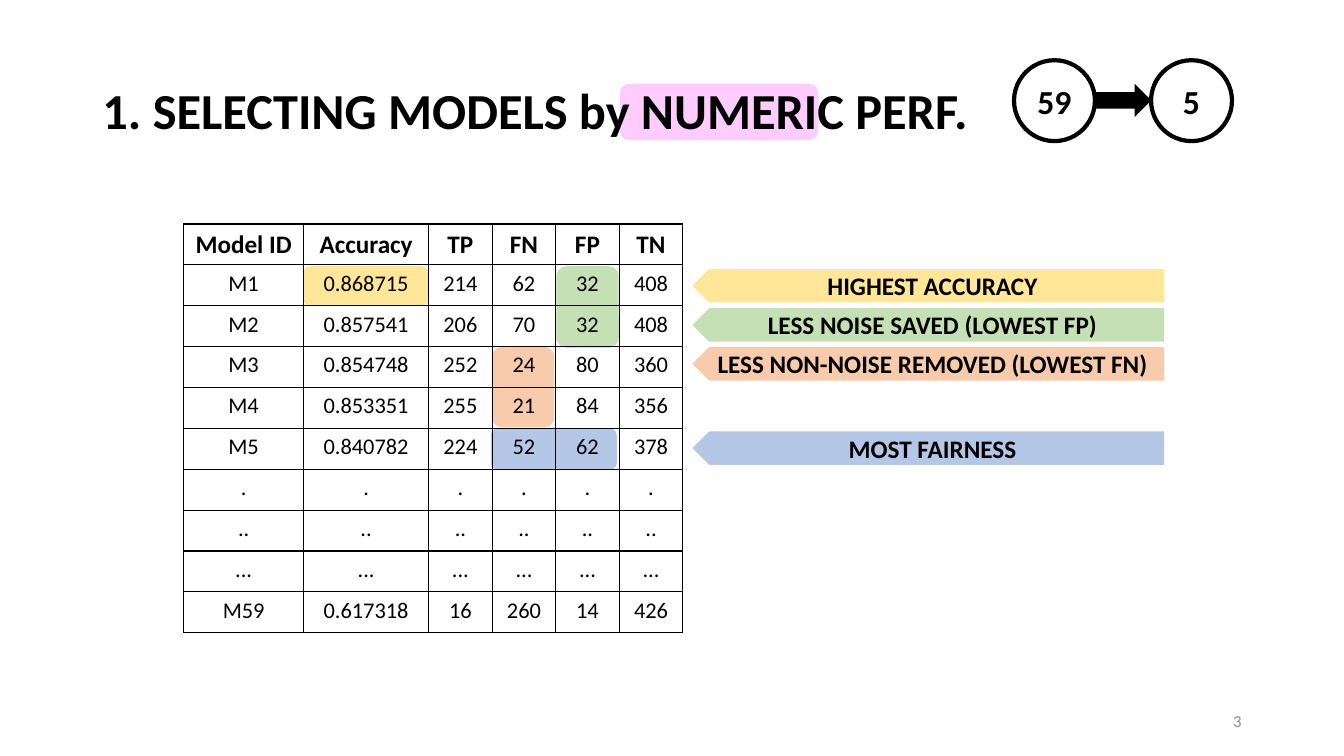
"""Build the slide on selecting models by numeric performance."""
from dataclasses import dataclass

from lxml import etree
from pptx import Presentation
from pptx.dml.color import RGBColor
from pptx.enum.shapes import MSO_SHAPE
from pptx.enum.text import MSO_ANCHOR, MSO_AUTO_SIZE, PP_ALIGN
from pptx.oxml.ns import qn
from pptx.shapes.autoshape import Shape
from pptx.slide import Slide
from pptx.table import _Cell
from pptx.text.text import TextFrame
from pptx.util import Pt

ROUNDED = MSO_SHAPE.ROUNDED_RECTANGLE
PENTAGON = MSO_SHAPE.PENTAGON
OVAL = MSO_SHAPE.OVAL
RIGHT_ARROW = MSO_SHAPE.RIGHT_ARROW
LEFT, CENTER, RIGHT = PP_ALIGN.LEFT, PP_ALIGN.CENTER, PP_ALIGN.RIGHT
MIDDLE = MSO_ANCHOR.MIDDLE
NO_AUTOFIT = MSO_AUTO_SIZE.NONE

FONT = "Calibri"
BLACK = RGBColor(0x00, 0x00, 0x00)
GRAY = RGBColor(0x8C, 0x8C, 0x8C)
PINK = RGBColor(0xFF, 0xCC, 0xFF)
BLUE = RGBColor(0xB4, 0xC7, 0xE7)
ORANGE = RGBColor(0xF8, 0xCB, 0xAD)
GREEN = RGBColor(0xC5, 0xE0, 0xB4)
YELLOW = RGBColor(0xFF, 0xE6, 0x99)

TABLE_LEFT, TABLE_TOP = 131.2, 160
COLUMN_WIDTHS = (85.7, 89.3, 45.4, 45.4, 45.4, 45.4)
ROW_HEIGHT = 29.2
ROWS = (
    ("Model ID", "Accuracy", "TP", "FN", "FP", "TN"),
    ("M1", "0.868715", "214", "62", "32", "408"),
    ("M2", "0.857541", "206", "70", "32", "408"),
    ("M3", "0.854748", "252", "24", "80", "360"),
    ("M4", "0.853351", "255", "21", "84", "356"),
    ("M5", "0.840782", "224", "52", "62", "378"),
    *((dots,) * 6 for dots in (".", "..", "...")),
    ("M59", "0.617318", "16", "260", "14", "426"),
)


@dataclass(frozen=True)
class Box:
    left: float
    top: float
    width: float
    height: float


@dataclass(frozen=True)
class Highlight:
    box: Box
    color: RGBColor


@dataclass(frozen=True)
class Tag:
    text: str
    top: float
    color: RGBColor


@dataclass(frozen=True)
class Count:
    text: str
    left: float


HIGHLIGHTS = (
    Highlight(Box(442.8, 59.8, 141.8, 40.3), PINK),
    Highlight(Box(350.6, 306, 90, 29.5), BLUE),
    Highlight(Box(351.4, 247.7, 44.6, 57.6), ORANGE),
    Highlight(Box(397.4, 190.1, 44.6, 58.3), GREEN),
    Highlight(Box(216.7, 190.1, 89.3, 28.1), YELLOW),
)
TAGS = (
    Tag("HIGHEST ACCURACY", 192.2, YELLOW),
    Tag("LESS NOISE SAVED (LOWEST FP)", 220.2, GREEN),
    Tag("LESS NON-NOISE REMOVED (LOWEST FN)", 248, ORANGE),
    Tag("MOST FAIRNESS", 308.2, BLUE),
)
COUNTS = (Count("59", 724.3), Count("5", 822.2))
COUNT_TOP, COUNT_SIZE = 43, 57.8


def write(frame: TextFrame, text: str, size: float, bold: bool = True,
          align: PP_ALIGN = CENTER, color: RGBColor = BLACK) -> None:
    """Put one formatted paragraph into a text frame."""
    frame.text = text
    paragraph = frame.paragraphs[0]
    paragraph.alignment = align
    font = paragraph.runs[0].font
    font.name, font.size, font.bold = FONT, Pt(size), bold
    font.color.rgb = color


def add_box(slide: Slide, preset: MSO_SHAPE, box: Box, fill: RGBColor | None) -> Shape:
    """Add a preset shape without shadow or outline."""
    shape = slide.shapes.add_shape(
        preset, Pt(box.left), Pt(box.top), Pt(box.width), Pt(box.height))
    shape.shadow.inherit = False
    shape.line.fill.background()
    if fill is None:
        shape.fill.background()
    else:
        shape.fill.solid()
        shape.fill.fore_color.rgb = fill
    shape.text_frame.vertical_anchor = MIDDLE
    return shape


def format_title(slide: Slide) -> None:
    """Fill the title placeholder and lift it above the highlights."""
    title = slide.shapes.title
    title.left, title.top, title.width, title.height = Pt(66), Pt(28.8), Pt(828), Pt(104.4)
    frame = title.text_frame
    write(frame, "1. SELECTING MODELS by NUMERIC PERF.", 36, align=LEFT)
    frame.auto_size = NO_AUTOFIT
    frame.vertical_anchor = MIDDLE
    frame.paragraphs[0].line_spacing = 0.9
    title.element.getparent().append(title.element)


def add_tag(slide: Slide, tag: Tag) -> None:
    """Add a label that points left at the table."""
    shape = add_box(slide, PENTAGON, Box(494.6, tag.top, 337, 23.8), tag.color)
    shape.element.spPr.get_or_add_xfrm().set("flipH", "1")
    write(shape.text_frame, tag.text, 18)


def add_count(slide: Slide, count: Count) -> None:
    """Add a circled number of models."""
    shape = add_box(slide, OVAL, Box(count.left, COUNT_TOP, COUNT_SIZE, COUNT_SIZE), None)
    shape.line.color.rgb = BLACK
    shape.line.width = Pt(3)
    write(shape.text_frame, count.text, 24)


def outline(cell: _Cell) -> None:
    """Draw a thin black border on all four sides of a cell."""
    properties = cell._tc.get_or_add_tcPr()
    for side in ("a:lnL", "a:lnR", "a:lnT", "a:lnB"):
        line = etree.SubElement(properties, qn(side), w=str(Pt(1)))
        fill = etree.SubElement(line, qn("a:solidFill"))
        etree.SubElement(fill, qn("a:srgbClr"), val=str(BLACK))


def add_model_table(slide: Slide) -> None:
    """Add the transparent table of model results."""
    table = slide.shapes.add_table(
        len(ROWS), len(COLUMN_WIDTHS), Pt(TABLE_LEFT), Pt(TABLE_TOP),
        Pt(sum(COLUMN_WIDTHS)), Pt(ROW_HEIGHT * len(ROWS))).table
    table.horz_banding = False
    for column, width in zip(table.columns, COLUMN_WIDTHS):
        column.width = Pt(width)
    for row_index, values in enumerate(ROWS):
        table.rows[row_index].height = Pt(ROW_HEIGHT)
        is_header = row_index == 0
        for cell, value in zip(table.rows[row_index].cells, values):
            write(cell.text_frame, value, 18 if is_header else 16, is_header)
            outline(cell)
            cell.fill.background()


def add_page_number(slide: Slide) -> None:
    """Add the gray page number at the lower right."""
    frame = slide.shapes.add_textbox(Pt(678), Pt(500.4), Pt(216), Pt(28.8)).text_frame
    frame.word_wrap = True
    frame.vertical_anchor = MIDDLE
    write(frame, "3", 12, False, RIGHT, GRAY)


def main() -> None:
    """Build and save the presentation."""
    presentation = Presentation()
    presentation.slide_width, presentation.slide_height = Pt(960), Pt(540)
    slide = presentation.slides.add_slide(presentation.slide_layouts[5])
    for highlight in HIGHLIGHTS:
        add_box(slide, ROUNDED, highlight.box, highlight.color)
    format_title(slide)
    for tag in TAGS:
        add_tag(slide, tag)
    add_model_table(slide)
    for count in COUNTS:
        add_count(slide, count)
    add_box(slide, RIGHT_ARROW, Box(782, 59.8, 40.3, 23.8), BLACK)
    add_page_number(slide)
    presentation.save("out.pptx")


if __name__ == "__main__":
    main()
